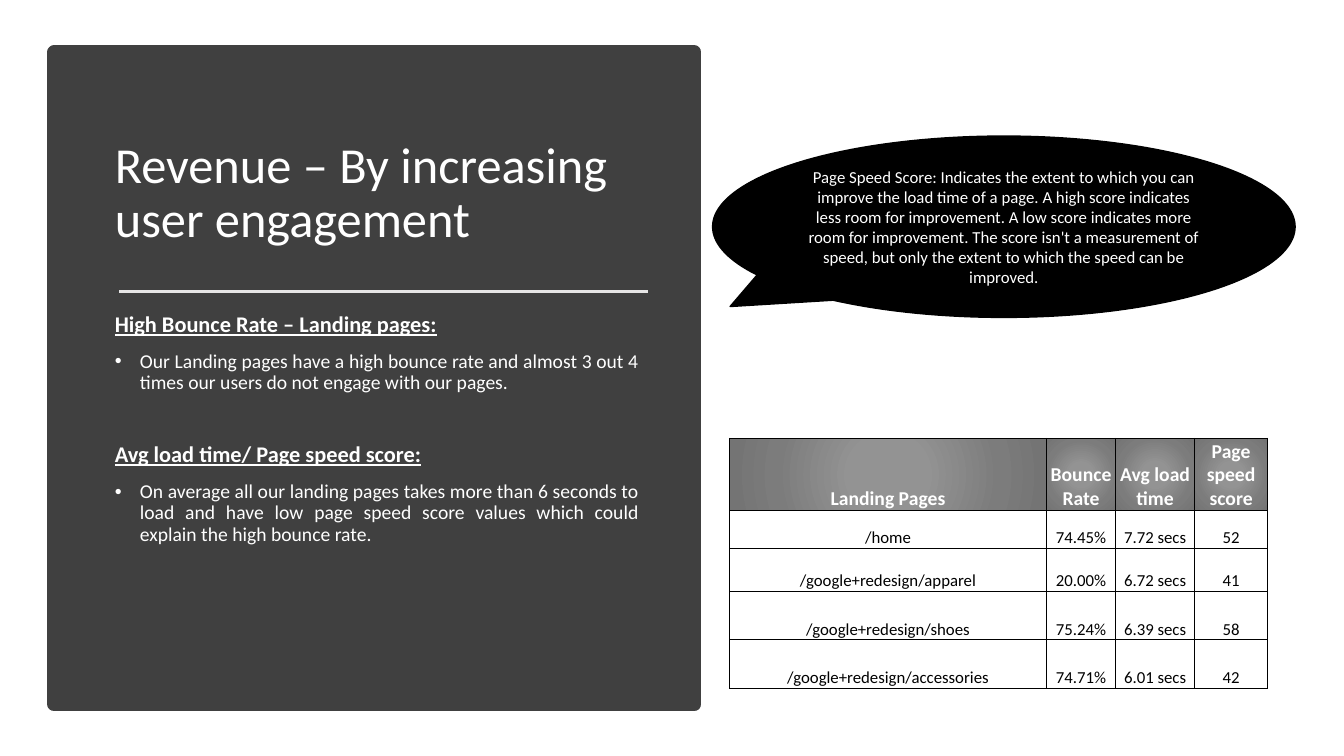
from lxml import etree
from pptx import Presentation, util as u
from pptx.dml.color import RGBColor
from pptx.enum import shapes, text
from pptx.oxml import parse_xml
from pptx.oxml.ns import nsdecls, qn

Cm, Pt = u.Cm, u.Pt
FONT = "Calibri"
COLORS = {"panel": "404040", "rule": "E7E6E6", "white": "FFFFFF", "black": "000000"}
HEADER_STOPS = [(0, "939393"), (23, "939393"), (69, "7C7C7C"), (97, "747474")]

POINTS = [
    ("High Bounce Rate – Landing pages:",
     "Our Landing pages have a high bounce rate and almost 3 out 4 times our users "
     "do not engage with our pages."),
    ("Avg load time/ Page speed score:",
     "On average all our landing pages takes more than 6 seconds to load and have low "
     "page speed score values which could explain the high bounce rate."),
]
CALLOUT = ("Page Speed Score: Indicates the extent to which you can improve the load time "
           "of a page. A high score indicates less room for improvement. A low score "
           "indicates more room for improvement. The score isn't a measurement of speed, "
           "but only the extent to which the speed can be improved.")
ROWS = [
    ("Landing Pages", "Bounce Rate", "Avg load time", "Page speed score"),
    ("/home", "74.45%", "7.72 secs", "52"),
    ("/google+redesign/apparel", "20.00%", "6.72 secs", "41"),
    ("/google+redesign/shoes", "75.24%", "6.39 secs", "58"),
    ("/google+redesign/accessories", "74.71%", "6.01 secs", "42"),
]
COL_WIDTHS = [7.98, 1.75, 1.98, 1.85]
ROW_HEIGHTS = [1.52, 0.94, 1.09, 1.22, 1.22]


def rgb(name):
    return RGBColor.from_string(COLORS[name])


def add_run(p, words, size, color, bold=False, underline=False):
    r = p.add_run()
    r.text = words
    f = r.font
    f.name, f.size, f.bold, f.underline = FONT, Pt(size), bold, underline
    f.color.rgb = rgb(color)


def place(sp, left, top, width, height):
    sp.left, sp.top, sp.width, sp.height = Cm(left), Cm(top), Cm(width), Cm(height)


def add_filled(s, kind, box, color):
    sp = s.shapes.add_shape(kind, *map(Cm, box))
    sp.shadow.inherit = False
    sp.fill.solid()
    sp.fill.fore_color.rgb = rgb(color)
    sp.line.color.rgb = rgb(color)
    return sp


def add_panel(s):
    panel = add_filled(s, shapes.MSO_SHAPE.RECTANGLE, (1.37, 1.32, 16.13, 16.43), "panel")
    panel.line.width = Pt(10)
    # Send behind the placeholders
    s.shapes._spTree.insert(2, panel._element)


def fill_title(sp):
    place(sp, 2.64, 2.92, 13.72, 3.96)
    tf = sp.text_frame
    tf.vertical_anchor = text.MSO_ANCHOR.MIDDLE
    tf.auto_size = text.MSO_AUTO_SIZE.NONE
    p = tf.paragraphs[0]
    p.alignment = text.PP_ALIGN.LEFT
    p.line_spacing = 0.9
    add_run(p, "Revenue – By increasing user engagement", 36, "white")


def add_rule(s):
    rule = s.shapes.add_connector(shapes.MSO_CONNECTOR.STRAIGHT,
                                  Cm(3), Cm(7.34), Cm(16.33), Cm(7.34))
    rule.line.color.rgb = rgb("rule")
    rule.line.width = Pt(1.75)
    etree.SubElement(rule._element.spPr, qn("a:effectLst"))


def format_paragraph(p, bullet, before):
    pPr = p._p.get_or_add_pPr()
    indent = Cm(0.63) if bullet else 0
    pPr.set("marL", str(indent))
    pPr.set("indent", str(-indent))
    if bullet:
        etree.SubElement(pPr, qn("a:buFont")).set("typeface", "Arial")
        etree.SubElement(pPr, qn("a:buChar")).set("char", "•")
    else:
        etree.SubElement(pPr, qn("a:buNone"))
    p.alignment = text.PP_ALIGN.JUSTIFY
    p.line_spacing = 0.9
    p.space_before = Pt(before)


def fill_points(sp):
    place(sp, 2.64, 7.77, 13.72, 8.31)
    tf = sp.text_frame
    tf.auto_size = text.MSO_AUTO_SIZE.NONE
    for i, (heading, detail) in enumerate(POINTS):
        p = tf.add_paragraph() if i else tf.paragraphs[0]
        format_paragraph(p, False, 35.5 if i else 0)
        add_run(p, heading, 16, "white", bold=True, underline=True)
        p = tf.add_paragraph()
        format_paragraph(p, True, 10)
        add_run(p, detail, 14, "white")


def add_callout(s):
    sp = add_filled(s, shapes.MSO_SHAPE.OVAL_CALLOUT, (17.96, 3.43, 14.68, 4.57), "black")
    sp.line.width = Pt(1)
    sp.adjustments[0], sp.adjustments[1] = -0.47, 0.44
    tf = sp.text_frame
    tf.word_wrap = True
    tf.vertical_anchor = text.MSO_ANCHOR.MIDDLE
    p = tf.paragraphs[0]
    p.alignment = text.PP_ALIGN.CENTER
    add_run(p, CALLOUT, 12, "white")


def style_cell(cell, header):
    tcPr = cell._tc.get_or_add_tcPr()
    for side in ("lnL", "lnR", "lnT", "lnB"):
        tcPr.append(parse_xml(
            f'<a:{side} {nsdecls("a")} w="{Pt(1)}"><a:solidFill>'
            f'<a:srgbClr val="{COLORS["black"]}"/></a:solidFill></a:{side}>'))
    if header:
        stops = "".join(f'<a:gs pos="{pos * 1000}"><a:srgbClr val="{color}"/></a:gs>'
                        for pos, color in HEADER_STOPS)
        tcPr.append(parse_xml(
            f'<a:gradFill {nsdecls("a")}><a:gsLst>{stops}</a:gsLst><a:path path="circle">'
            '<a:fillToRect l="50000" t="50000" r="50000" b="50000"/></a:path></a:gradFill>'))
    else:
        cell.fill.background()
    cell.vertical_anchor = text.MSO_ANCHOR.BOTTOM
    cell.margin_left = cell.margin_right = cell.margin_top = Cm(0.02)
    cell.margin_bottom = 0


def add_pages_table(s):
    frame = s.shapes.add_table(len(ROWS), len(COL_WIDTHS), Cm(18.39), Cm(11.05),
                               Cm(sum(COL_WIDTHS)), Cm(sum(ROW_HEIGHTS)))
    table = frame.table
    table.first_row = table.horz_banding = False
    for column, width in zip(table.columns, COL_WIDTHS):
        column.width = Cm(width)
    for i, (row, height) in enumerate(zip(table.rows, ROW_HEIGHTS)):
        row.height = Cm(height)
        header = i == 0
        for cell, words in zip(row.cells, ROWS[i]):
            style_cell(cell, header)
            p = cell.text_frame.paragraphs[0]
            p.alignment = text.PP_ALIGN.CENTER
            add_run(p, words, 14 if header else 12, "white" if header else "black", bold=header)


def main():
    prs = Presentation()
    prs.slide_width, prs.slide_height = Cm(33.87), Cm(19.05)
    s = prs.slides.add_slide(prs.slide_layouts[1])

    # Left panel: title, rule and points
    add_panel(s)
    fill_title(s.shapes.title)
    add_rule(s)
    fill_points(s.placeholders[1])

    # Right side: landing page figures and explanation
    add_pages_table(s)
    add_callout(s)

    prs.save("out.pptx")


if __name__ == "__main__":
    main()
